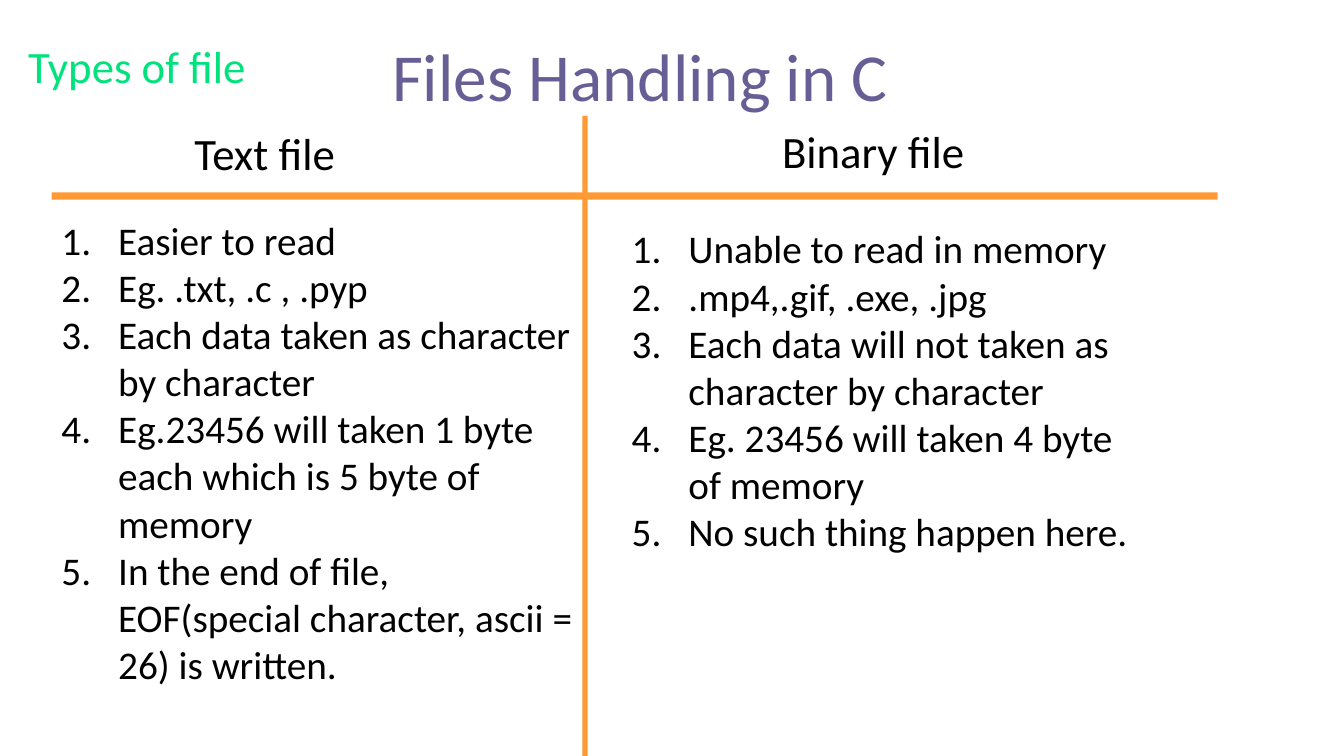
import dataclasses

import lxml.etree
import pptx
import pptx.dml.color
import pptx.enum.shapes
import pptx.enum.text
import pptx.oxml.ns
import pptx.util

Cm = pptx.util.Cm


@dataclasses.dataclass(frozen=True)
class Theme:
    font: str = "Calibri"
    title: str = "675E95"
    topic: str = "00E27C"
    ink: str = "000000"
    rule: str = "FF9933"
    large: int = 48
    head: int = 32
    body: int = 28
    indent: float = 1.43


def write(para, text, *, font, size, color):
    run = para.add_run()
    run.text = text
    run.font.name = font
    run.font.size = pptx.util.Pt(size)
    run.font.color.rgb = pptx.dml.color.RGBColor.from_string(color)


class Board:
    """Draws themed text, lists and bars on the current slide."""

    def __init__(self, slide, theme):
        self.slide = slide
        self.theme = theme

    def frame(self, place):
        box = self.slide.shapes.add_textbox(*map(Cm, place))
        frame = box.text_frame
        frame.word_wrap = True
        frame.auto_size = pptx.enum.text.MSO_AUTO_SIZE.SHAPE_TO_FIT_TEXT
        return frame

    def label(self, place, text, size, color):
        para = self.frame(place).paragraphs[0]
        write(para, text, font=self.theme.font, size=size, color=color)

    def list(self, place, items):
        theme = self.theme
        frame = self.frame(place)
        for index, item in enumerate(items):
            para = frame.add_paragraph() if index else frame.paragraphs[0]
            self.number(para)
            write(para, item, font=theme.font, size=theme.body, color=theme.ink)

    def number(self, para):
        props = para._p.get_or_add_pPr()
        indent = Cm(self.theme.indent)
        props.set("marL", str(indent))
        props.set("indent", str(-indent))
        mark = lxml.etree.SubElement(props, pptx.oxml.ns.qn("a:buAutoNum"))
        mark.set("type", "arabicPeriod")

    def bar(self, place):
        kind = pptx.enum.shapes.MSO_SHAPE.RECTANGLE
        bar = self.slide.shapes.add_shape(kind, *map(Cm, place))
        bar.shadow.inherit = False
        bar.fill.solid()
        bar.fill.fore_color.rgb = pptx.dml.color.RGBColor.from_string(self.theme.rule)
        bar.line.fill.background()


def main():
    deck = pptx.Presentation()
    deck.slide_width = Cm(33.87)
    deck.slide_height = Cm(19.05)
    theme = Theme()
    board = Board(deck.slides.add_slide(deck.slide_layouts[6]), theme)

    board.label((9.63, 0.74, 14.99, 2.31), "Files Handling in C", theme.large, theme.title)
    board.label((0.46, 0.86, 6.22, 1.63), "Types of file", theme.head, theme.topic)
    board.label((4.65, 3.05, 5.16, 1.63), "Text file", theme.head, theme.ink)
    board.label((19.46, 3, 5.16, 1.63), "Binary file", theme.head, theme.ink)

    board.bar((14.68, 2.92, 0.13, 16.13))
    board.bar((1.3, 4.85, 29.39, 0.18))

    board.list((1.3, 5.33, 13.39, 12.22), [
        "Easier to read",
        "Eg. .txt, .c , .pyp",
        "Each data taken as character by character",
        "Eg.23456 will taken 1 byte each which is 5 byte of memory",
        "In the end of file, EOF(special character, ascii = 26) is written.",
    ])
    board.list((15.67, 5.54, 13.49, 8.64), [
        "Unable to read in memory",
        ".mp4,.gif, .exe, .jpg",
        "Each data will not taken as character by character",
        "Eg. 23456 will taken 4 byte of memory",
        "No such thing happen here.",
    ])
    deck.save("out.pptx")


if __name__ == "__main__":
    main()
